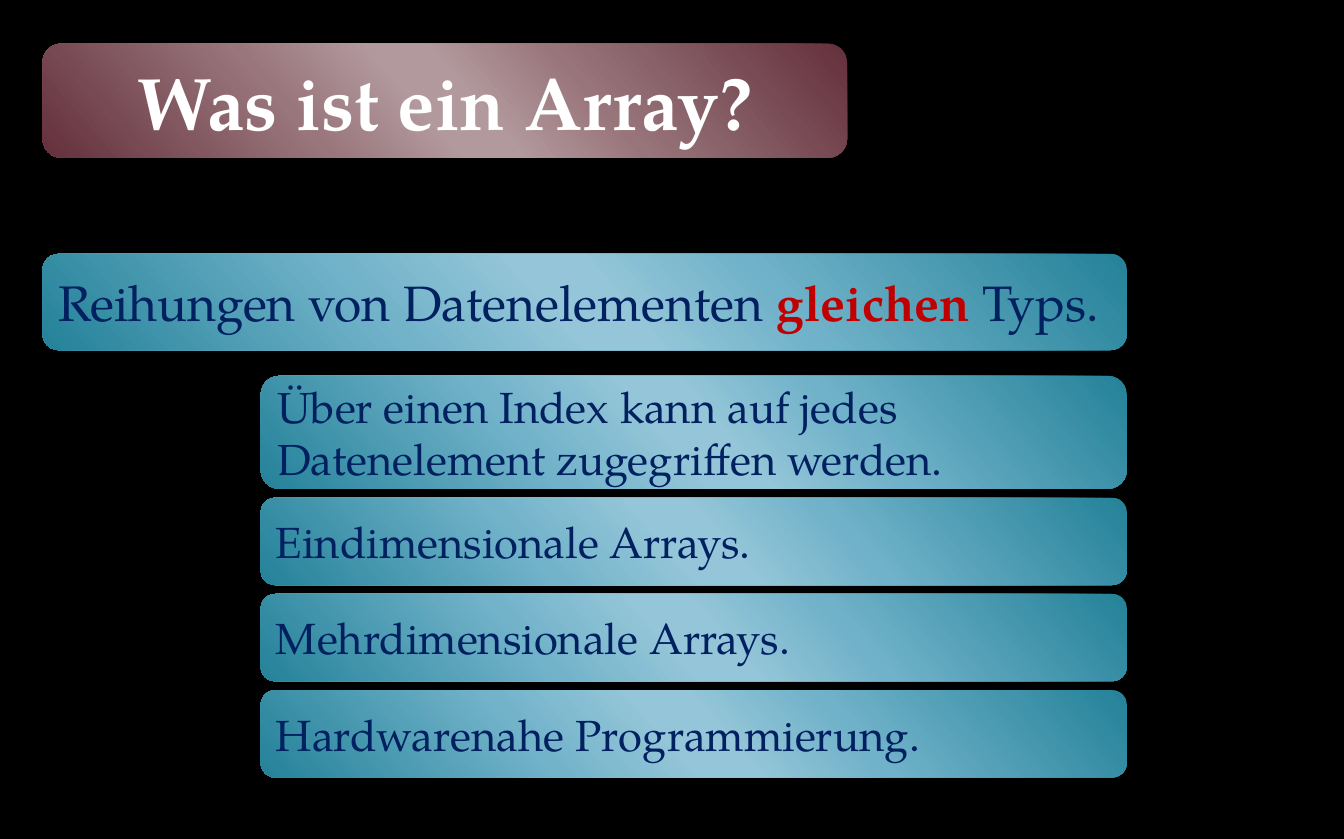
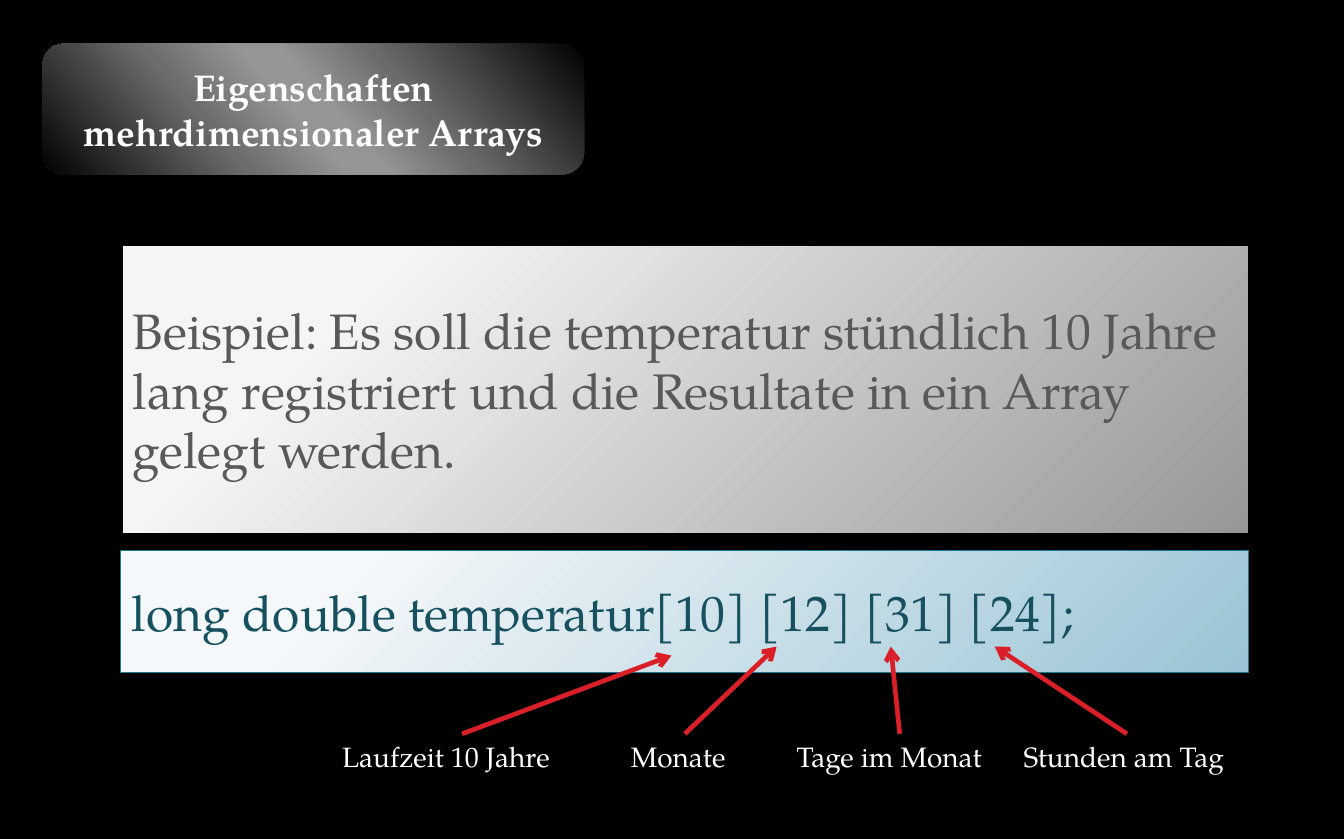
import pptx
import pptx.dml.color
import pptx.enum.shapes
import pptx.enum.text
import pptx.oxml
import pptx.oxml.ns
import pptx.util
import lxml.etree

UNIT = 9144
FACE = "TeX Gyre Pagella"
HUES = {
    "black": "000000", "white": "FFFFFF", "navy": "002060", "red": "C00000",
    "grey": "595959", "teal": "175160", "edge": "1B7990", "arrow": "DA1F28",
}
BLENDS = {
    "blue": ["248299", "70B2C9", "94C5D8", "94C5D8", "72B3CA", "248299"],
    "wine": ["64303B", "98757B", "B2999D", "B2999D", "99767C", "64303B"],
    "coal": ["000000", "6B6B6B", "959595", "959595", "6C6C6C", "000000"],
    "mist": ["F5F5F5", "979797"],
    "sky": ["F5F8FA", "9AC4D5"],
}
GLOSS = [0, 33, 47, 53, 68, 100]
GLOW = [20, 100]
SLANT = '<a:lin ang="8340000" scaled="0"/>'
ROUND = ('<a:path path="circle"><a:fillToRect l="-15000" t="-15000" '
         'r="115000" b="115000"/></a:path>')
KINDS = pptx.enum.shapes.MSO_SHAPE
ALIGN = pptx.enum.text.PP_ALIGN
MIDDLE = pptx.enum.text.MSO_ANCHOR.MIDDLE
TAG = pptx.oxml.ns.qn


def px(*nums):
    """Turn px lengths into EMU."""
    return [pptx.util.Emu(num * UNIT) for num in nums]


def tint(name):
    """Return the named colour."""
    return pptx.dml.color.RGBColor.from_string(HUES[name])


def assign(item, style):
    """Set each attribute of the style on the item."""
    for key, val in style.items():
        setattr(item, key, val)


def blend(shape, name, marks, way):
    """Fill the shape with a named gradient."""
    stops = "".join(
        f'<a:gs pos="{mark * 1000}"><a:srgbClr val="{hue}"/></a:gs>'
        for mark, hue in zip(marks, BLENDS[name]))
    shape.fill.gradient()
    props = shape.element.spPr
    props.replace(props.find(TAG("a:gradFill")), pptx.oxml.parse_xml(
        f'<a:gradFill {pptx.oxml.ns.nsdecls("a")} rotWithShape="1">'
        f'<a:gsLst>{stops}</a:gsLst>{way}</a:gradFill>'))


def write(shape, runs, size, align=ALIGN.LEFT):
    """Write runs of (text, colour, bold) as one paragraph."""
    shape.text_frame.word_wrap = True
    para = shape.text_frame.paragraphs[0]
    para.alignment = align
    for text, hue, bold in runs:
        run = para.add_run()
        run.text = text
        assign(run.font, {"name": FACE, "size": pptx.util.Pt(size), "bold": bold})
        run.font.color.rgb = tint(hue)


def panel(slide, box, kind, edge=None):
    """Add an outlined or plain shape with centred height."""
    shape = slide.shapes.add_shape(kind, *px(*box))
    shape.shadow.inherit = False
    shape.text_frame.vertical_anchor = MIDDLE
    if edge:
        shape.line.color.rgb = tint(edge)
        shape.line.width = pptx.util.Pt(0.75)
    else:
        shape.line.fill.background()
    return shape


def plate(slide, box, name, runs, size, align=ALIGN.LEFT):
    """Add a rounded glossy plate with text."""
    shape = panel(slide, box, KINDS.ROUNDED_RECTANGLE)
    blend(shape, name, GLOSS, SLANT)
    write(shape, runs, size, align)


def title(slide, box, name, text, size):
    """Add the slide title."""
    plate(slide, box, name, [(text, "white", True)], size, ALIGN.CENTER)


def card(slide, box, name, edge, text, hue):
    """Add a square card with a soft glow."""
    shape = panel(slide, box, KINDS.RECTANGLE, edge)
    blend(shape, name, GLOW, ROUND)
    write(shape, [(text, hue, False)], 32)


def points(slide, box, head, items):
    """Stack a lead plate and its indented points."""
    left, top, width, height = box
    plate(slide, (left, top, width, height), "blue", head, 32)
    inset, gap = 195, 8
    y = top + height + 23
    for text, tall in items:
        plate(slide, (left + inset, y, width - inset, tall), "blue",
              [(text, "navy", False)], 28)
        y += tall + gap


def arrow(slide, start, end):
    """Draw a red arrow."""
    line = slide.shapes.add_connector(
        pptx.enum.shapes.MSO_CONNECTOR.STRAIGHT, *px(*start, *end))
    line.line.color.rgb = tint("arrow")
    line.line.width = pptx.util.Pt(3)
    props = line.element.spPr
    lxml.etree.SubElement(props.find(TAG("a:ln")), TAG("a:tailEnd"), type="arrow")
    lxml.etree.SubElement(props, TAG("a:effectLst"))


def legend(slide, box, notes):
    """Place labels in a row, each with an arrow rising from it."""
    left, top, height = box
    for text, x, width, foot, tip, rise in notes:
        label = slide.shapes.add_textbox(*px(left + x, top, width, height))
        write(label, [(text, "white", False)], 18)
        arrow(slide, (left + foot, top), (left + tip, top - rise))


def blank(deck):
    """Add a blank black slide."""
    slide = deck.slides.add_slide(deck.slide_layouts[6])
    slide.background.fill.solid()
    slide.background.fill.fore_color.rgb = tint("black")
    return slide


def main():
    """Build and save the deck."""
    deck = pptx.Presentation()
    assign(deck, dict(zip(("slide_width", "slide_height"), px(1201, 750))))

    slide = blank(deck)
    title(slide, (38, 39, 719, 102), "wine", "Was ist ein Array?", 48)
    points(slide, (38, 227, 969, 86), [
        ("Reihungen von Datenelementen ", "navy", False),
        ("gleichen", "red", True),
        (" Typs.", "navy", False),
    ], [
        ("Über einen Index kann auf jedes Datenelement zugegriffen werden.", 101),
        ("Eindimensionale Arrays.", 78),
        ("Mehrdimensionale Arrays.", 78),
        ("Hardwarenahe Programmierung.", 78),
    ])

    slide = blank(deck)
    title(slide, (38, 39, 484, 117), "coal",
          "Eigenschaften mehrdimensionaler Arrays", 24)
    card(slide, (109, 219, 1007, 258), "mist", "black",
         "Beispiel: Es soll die temperatur stündlich 10 Jahre lang registriert "
         "und die Resultate in ein Array gelegt werden.", "grey")
    card(slide, (108, 492, 1008, 109), "sky", "edge",
         "long double temperatur[10] [12] [31] [24];", "teal")
    legend(slide, (296, 656, 40), [
        ("Laufzeit 10 Jahre", 0, 234, 117, 304, 70),
        ("Monate", 258, 117, 316, 398, 78),
        ("Tage im Monat", 406, 203, 508, 500, 78),
        ("Stunden am Tag", 609, 203, 711, 593, 78),
    ])
    deck.save("out.pptx")


if __name__ == "__main__":
    main()
